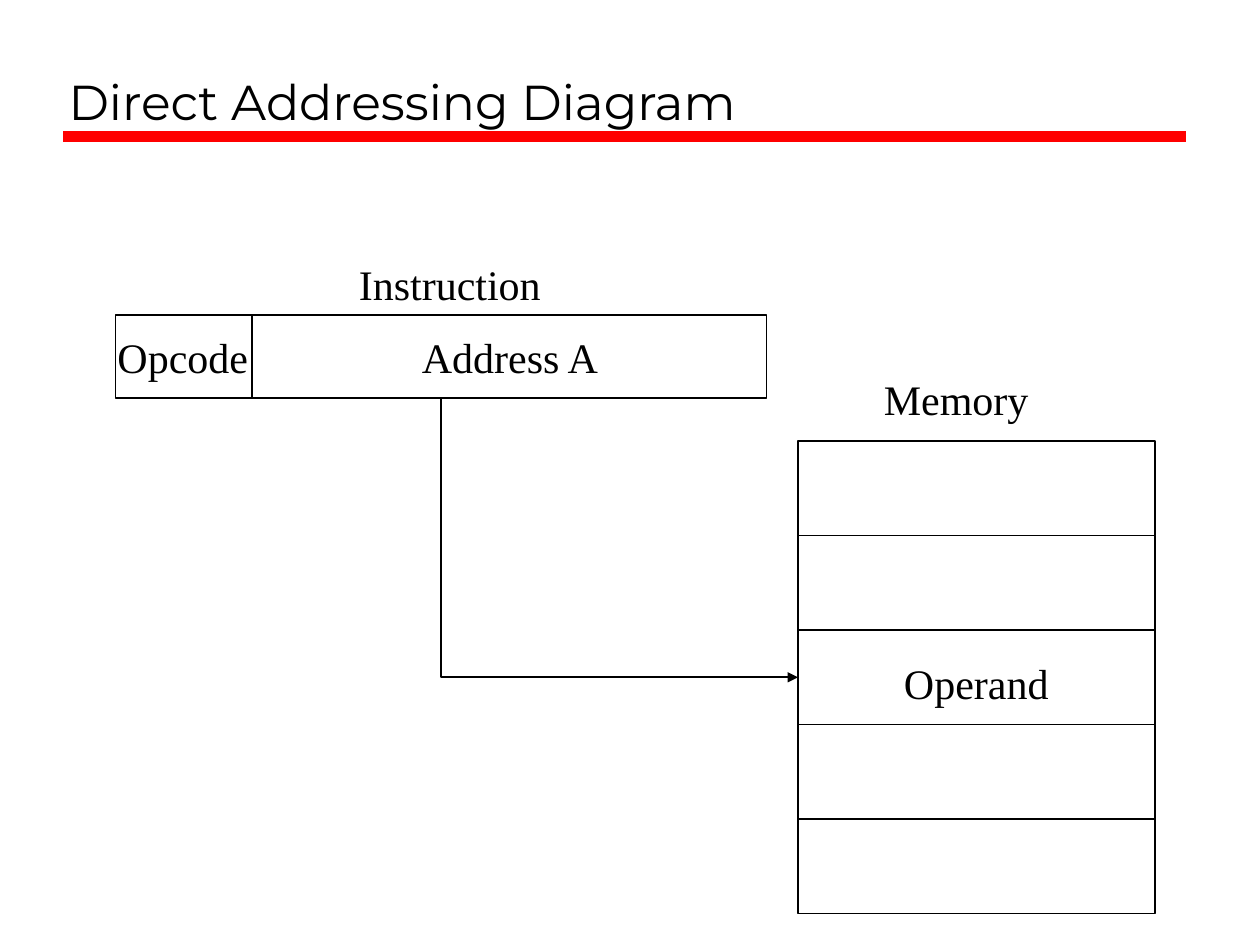
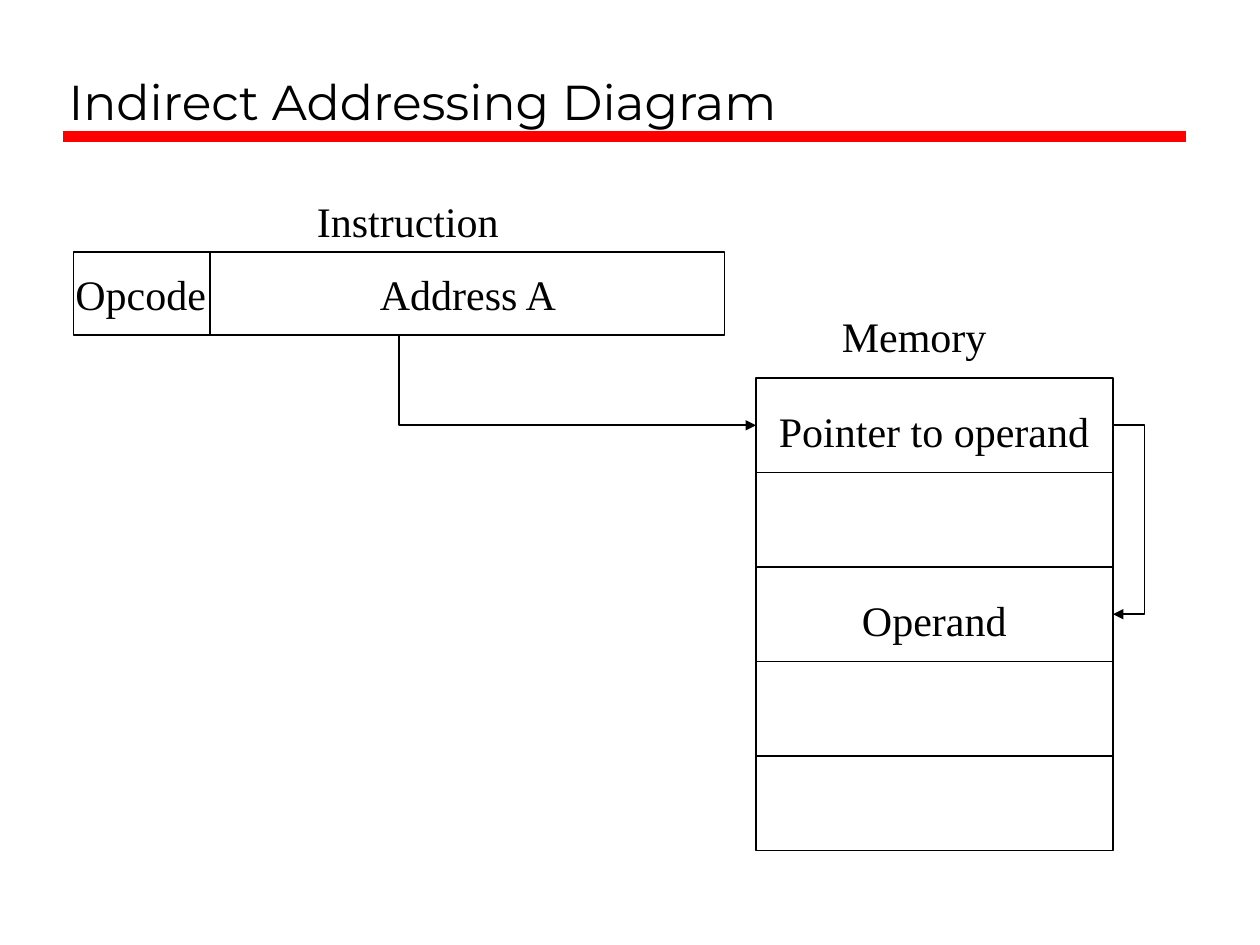
from pptx import Presentation
from pptx.dml.color import RGBColor
from pptx.enum import shapes, text
from pptx.oxml import ns, xmlchemy
from pptx.util import Pt

COLORS = {"ink": "000000", "rule": "FF0000"}
TITLE_FONT, LABEL_FONT = "Montserrat", "Times New Roman"

# Offsets are measured from the top left corner of the instruction box.
INSTRUCTION_WIDTH, INSTRUCTION_HEIGHT = 372, 47.5
OPCODE_WIDTH = 78
ADDRESS_EXIT = 186
MEMORY_LEFT, MEMORY_TOP = 390, 72
CELL_WIDTH, CELL_HEIGHT, CELL_COUNT = 204, 54, 5
LABEL_HEIGHT = 36
LOOP_REACH = 18


def color(name):
    return RGBColor.from_string(COLORS[name])


def style_font(paragraph, name, size):
    for run in paragraph.runs:
        run.font.name = name
        run.font.size = Pt(size)
        run.font.color.rgb = color("ink")


def style_outline(shape):
    """Give a shape a thin ink outline, no fill and no shadow."""
    shape.shadow.inherit = False
    shape.fill.background()
    shape.line.color.rgb = color("ink")
    shape.line.width = Pt(1)


def add_box(container, left, top, width, height):
    box = container.add_shape(shapes.MSO_SHAPE.RECTANGLE,
                              Pt(left), Pt(top), Pt(width), Pt(height))
    style_outline(box)


def add_line(container, start, end, color_name, width):
    line = container.add_connector(shapes.MSO_CONNECTOR.STRAIGHT,
                                   *map(Pt, start), *map(Pt, end))
    line.line.color.rgb = color(color_name)
    line.line.width = Pt(width)
    line.element.spPr.append(xmlchemy.OxmlElement("a:effectLst"))
    return line


def add_label(slide, words, left, top, width):
    label = slide.shapes.add_textbox(Pt(left), Pt(top), Pt(width), Pt(LABEL_HEIGHT))
    frame = label.text_frame
    frame.word_wrap = False
    frame.auto_size = text.MSO_AUTO_SIZE.SHAPE_TO_FIT_TEXT
    frame.text = words
    style_font(frame.paragraphs[0], LABEL_FONT, 24)


def add_bent_arrow(slide, *points):
    """Draw an open path through the points, with an arrowhead at the last."""
    start, *rest = [(Pt(x), Pt(y)) for x, y in points]
    builder = slide.shapes.build_freeform(*start)
    builder.add_line_segments(rest, close=False)
    arrow = builder.convert_to_shape()
    style_outline(arrow)
    head = xmlchemy.OxmlElement("a:tailEnd")
    head.set("type", "triangle")
    arrow.element.spPr.find(ns.qn("a:ln")).append(head)


def add_title_slide(presentation, title_words):
    slide = presentation.slides.add_slide(presentation.slide_layouts[5])
    title = slide.shapes.title
    title.left, title.top, title.width, title.height = map(Pt, (32, 12, 646, 66))
    frame = title.text_frame
    frame.text = title_words
    frame.vertical_anchor = text.MSO_ANCHOR.BOTTOM
    frame.auto_size = text.MSO_AUTO_SIZE.NONE
    paragraph = frame.paragraphs[0]
    paragraph.alignment = text.PP_ALIGN.LEFT
    style_font(paragraph, TITLE_FONT, 28)
    return slide


def move_rule_to_layout(slide):
    """Put the red title rule on the layout, so that all slides share it."""
    rule = add_line(slide.shapes, (36, 78), (678, 78), "rule", 6)
    slide.slide_layout.shapes.element.append(rule.element)


def add_instruction(slide, left, top):
    group = slide.shapes.add_group_shape().shapes
    add_box(group, left, top, INSTRUCTION_WIDTH, INSTRUCTION_HEIGHT)
    divider = left + OPCODE_WIDTH
    add_line(group, (divider, top), (divider, top + INSTRUCTION_HEIGHT), "ink", 1)
    add_label(slide, "Address A", left + 168, top + 6, 117)
    add_label(slide, "Opcode", left - 6, top + 6, 90)
    add_label(slide, "Instruction", left + 132, top - LABEL_HEIGHT, 120)


def add_memory(slide, left, top, cell_labels):
    """cell_labels maps a cell index to its words and label width."""
    for index in range(CELL_COUNT):
        add_box(slide.shapes, left, top + index * CELL_HEIGHT, CELL_WIDTH, CELL_HEIGHT)
    add_label(slide, "Memory", left + 42, top - 42, 98)
    for index, (words, width) in cell_labels.items():
        add_label(slide, words, left + (CELL_WIDTH - width) / 2,
                  top + index * CELL_HEIGHT + 12, width)


def add_addressing_diagram(slide, left, top, cell_labels):
    """The address leads to the first labelled cell, and that one to the next."""
    memory_left, memory_top = left + MEMORY_LEFT, top + MEMORY_TOP
    add_instruction(slide, left, top)
    add_memory(slide, memory_left, memory_top, cell_labels)

    target, *later = [memory_top + (index + 0.5) * CELL_HEIGHT
                      for index in sorted(cell_labels)]
    exit_x = left + ADDRESS_EXIT
    add_bent_arrow(slide, (exit_x, top + INSTRUCTION_HEIGHT),
                   (exit_x, target), (memory_left, target))

    memory_right = memory_left + CELL_WIDTH
    loop_x = memory_right + LOOP_REACH
    for operand_y in later:
        add_bent_arrow(slide, (memory_right, target), (loop_x, target),
                       (loop_x, operand_y), (memory_right, operand_y))


def main():
    presentation = Presentation()
    presentation.slide_width, presentation.slide_height = Pt(720), Pt(540)
    operand = {2: ("Operand", 97)}
    pointer = {0: ("Pointer to operand", 192)}

    direct = add_title_slide(presentation, "Direct Addressing Diagram")
    move_rule_to_layout(direct)
    add_addressing_diagram(direct, 66, 180, operand)

    indirect = add_title_slide(presentation, "Indirect Addressing Diagram")
    add_addressing_diagram(indirect, 42, 144, pointer | operand)

    presentation.save("out.pptx")


if __name__ == "__main__":
    main()
